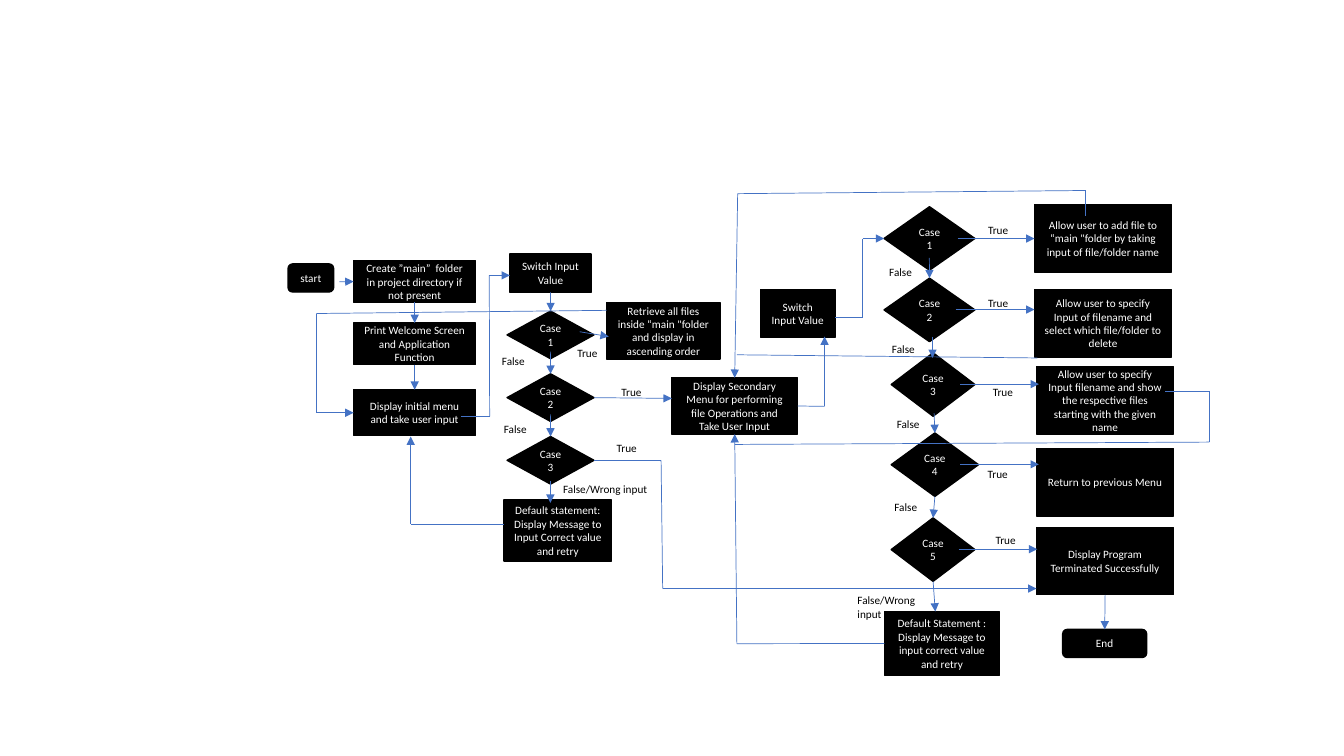
from itertools import pairwise

from lxml import etree
from pptx import Presentation
from pptx import util as u
from pptx.dml.color import RGBColor
from pptx.enum import shapes, text
from pptx.oxml import ns

BLACK = RGBColor(0x00, 0x00, 0x00)
WHITE = RGBColor(0xFF, 0xFF, 0xFF)
BLUE = RGBColor(0x44, 0x72, 0xC4)
TOP, LEFT, BOTTOM, RIGHT = range(4)
BOX = shapes.MSO_SHAPE.RECTANGLE
PILL = shapes.MSO_SHAPE.ROUNDED_RECTANGLE
DIAMOND = shapes.MSO_SHAPE.FLOWCHART_DECISION


def write(frame, words, color):
    paragraph = frame.paragraphs[0]
    run = paragraph.add_run()
    run.text = words
    run.font.name = "Calibri"
    run.font.size = u.Pt(8)
    run.font.color.rgb = color
    return paragraph


def locate(point):
    if point[0] not in step_shapes:
        return u.Cm(point[0]), u.Cm(point[1])
    shape, side = step_shapes[point[0]], point[1]
    across = {LEFT: 0, RIGHT: shape.width}.get(side, shape.width // 2)
    down = {TOP: 0, BOTTOM: shape.height}.get(side, shape.height // 2)
    return shape.left + across, shape.top + down


presentation = Presentation()
presentation.slide_width = u.Cm(33.87)
presentation.slide_height = u.Cm(19.05)
slide = presentation.slides.add_slide(presentation.slide_layouts[6])

steps = [
    ("start", PILL, 7.26, 6.65, 1.15, 0.71, "start"),
    ("create", BOX, 8.91, 6.57, 3.08, 1.05,
     "Create ”main”  folder in project directory if not present"),
    ("welcome", BOX, 8.91, 8.14, 3.08, 1.05, "Print Welcome Screen and Application Function"),
    ("menu", BOX, 8.91, 9.82, 3.08, 1.16, "Display initial menu and take user input"),
    ("switch", BOX, 12.85, 6.4, 2.05, 0.97, "Switch Input Value"),
    ("default", BOX, 12.7, 12.6, 2.72, 1.54,
     "Default statement: Display Message to Input Correct value and retry"),
    ("retrieve", BOX, 15.29, 7.62, 2.86, 1.43,
     "Retrieve all files inside “main \"folder and display in ascending order"),
    ("secondary", BOX, 16.93, 9.52, 3.17, 1.42,
     "Display Secondary Menu for performing file Operations and Take User Input"),
    ("file switch", BOX, 19.17, 7.3, 1.87, 1.2, "Switch Input Value"),
    ("file default", BOX, 22.29, 15.41, 2.9, 1.61,
     "Default Statement : Display Message to input correct value and retry"),
    ("end", PILL, 26.78, 15.86, 2.12, 0.71, "End"),
]
for number in range(1, 4):
    steps.append((f"case {number}", DIAMOND, 12.78, 7.84 + 1.58 * (number - 1), 2.19, 1.2,
                  f"Case {number}"))

file_cases = [
    (22.28, 5.21, 2.29, 26.07, 5.16,
     "Allow user to add file to “main \"folder by taking input of file/folder name"),
    (22.28, 7.01, 2.29, 26.07, 7.3,
     "Allow user to specify Input of filename and select which file/folder to delete"),
    (22.46, 8.89, 2.11, 26.12, 9.24,
     "Allow user to specify Input filename and show the respective files starting with the given name"),
    (22.46, 10.91, 2.2, 26.12, 11.3, "Return to previous Menu"),
    (22.46, 13.05, 2.11, 26.12, 13.29, "Display Program Terminated Successfully"),
]
for number, (left, top, width, action_left, action_top, words) in enumerate(file_cases, 1):
    steps.append((f"file case {number}", DIAMOND, left, top, width, 1.6, f"Case {number}"))
    steps.append((f"action {number}", BOX, action_left, action_top, 3.46, 1.7, words))

step_shapes = {}
for name, kind, left, top, width, height, words in steps:
    shape = slide.shapes.add_shape(kind, u.Cm(left), u.Cm(top), u.Cm(width), u.Cm(height))
    shape.shadow.inherit = False
    shape.fill.solid()
    shape.fill.fore_color.rgb = BLACK
    shape.line.color.rgb = BLACK
    shape.line.width = u.Pt(1)
    shape.text_frame.word_wrap = True
    shape.text_frame.vertical_anchor = text.MSO_ANCHOR.MIDDLE
    paragraph = write(shape.text_frame, words, WHITE)
    paragraph.alignment = text.PP_ALIGN.CENTER
    step_shapes[name] = shape

arrow_routes = [
    [(8.55, 7.1), ("create", LEFT)],
    [("create", BOTTOM), ("welcome", TOP)],
    [("welcome", BOTTOM), ("menu", TOP)],
    [("switch", BOTTOM), ("case 1", TOP)],
    [(13.87, 8.86), ("case 2", TOP)],
    [(13.87, 10.44), ("case 3", TOP)],
    [(13.87, 12.12), (13.87, 12.67)],
    [(23.42, 6.5), ("file case 2", TOP)],
    [(23.5, 8.48), (23.5, 9.02)],
    [(23.54, 10.41), ("file case 4", TOP)],
    [("file case 4", BOTTOM), ("file case 5", TOP)],
    [("file case 5", BOTTOM), (23.57, 15.41)],
    [("action 5", BOTTOM), ("end", TOP)],
    [(15.29, 7.82), (7.97, 7.9), (7.97, 10.4), ("menu", LEFT)],
    [(12.7, 13.21), (10.35, 13.21), (10.35, 11)],
    [(11.63, 10.49), (12.34, 10.49), (12.33, 6.94), (12.85, 6.94)],
    [("case 2", RIGHT), (16.93, 10.04)],
    [("case 3", RIGHT), (16.66, 11.6), (16.7, 14.83), (26.12, 14.83)],
    [(14.61, 8.36), (15.34, 8.48)],
    [("file default", LEFT), (18.57, 16.22), ("secondary", BOTTOM)],
    [("secondary", RIGHT), (20.78, 10.24), (20.78, 8.48)],
    [(27.36, 5.44), (27.36, 4.8), (18.59, 4.88), ("secondary", TOP)],
    [(21.05, 8), (21.74, 8), (21.74, 6.01), ("file case 1", LEFT)],
    [(24.13, 6.01), ("action 1", LEFT)],
    [(24.08, 7.8), (26.07, 7.8)],
    [(24.2, 9.68), (26.18, 9.68)],
    [(24.2, 11.7), (26.18, 11.7)],
    [(24.16, 13.84), (26.14, 13.84)],
]
plain_routes = [
    [(26.14, 9.02), (18.57, 8.94)],
    [(29.36, 9.86), (30.48, 9.86), (30.48, 11.14), (18.52, 11.2)],
]
for route in arrow_routes + plain_routes:
    for begin, end in pairwise(route):
        connector = slide.shapes.add_connector(
            shapes.MSO_CONNECTOR.STRAIGHT, *locate(begin), *locate(end))
        if begin[0] in step_shapes:
            connector.begin_connect(step_shapes[begin[0]], begin[1])
        if end[0] in step_shapes:
            connector.end_connect(step_shapes[end[0]], end[1])
        connector.line.color.rgb = BLUE
        connector.line.width = u.Pt(0.5)
        properties = connector._element.spPr
        if route in arrow_routes and end is route[-1]:
            outline = properties.find(ns.qn("a:ln"))
            etree.SubElement(outline, ns.qn("a:tailEnd"), type="triangle")
        etree.SubElement(properties, ns.qn("a:effectLst"))

labels = [
    ("True", 1.04, [(14.3, 8.59), (15.41, 9.58), (15.29, 11), (24.65, 5.51), (24.65, 7.34),
                    (24.77, 9.58), (24.64, 11.66), (24.84, 13.31)]),
    ("False", 1.09, [(12.4, 8.81), (12.45, 10.52), (22.29, 12.49), (22.35, 10.39),
                     (22.23, 8.51), (22.16, 6.55)]),
    ("False/Wrong input", 2.67, [(13.94, 12.04)]),
    ("False/Wrong input", 1.98, [(21.36, 14.83)]),
]
for words, width, places in labels:
    for left, top in places:
        label = slide.shapes.add_textbox(u.Cm(left), u.Cm(top), u.Cm(width), u.Cm(0.61))
        label.text_frame.word_wrap = width == 1.98
        label.text_frame.auto_size = text.MSO_AUTO_SIZE.SHAPE_TO_FIT_TEXT
        write(label.text_frame, words, BLACK)

presentation.save("out.pptx")
